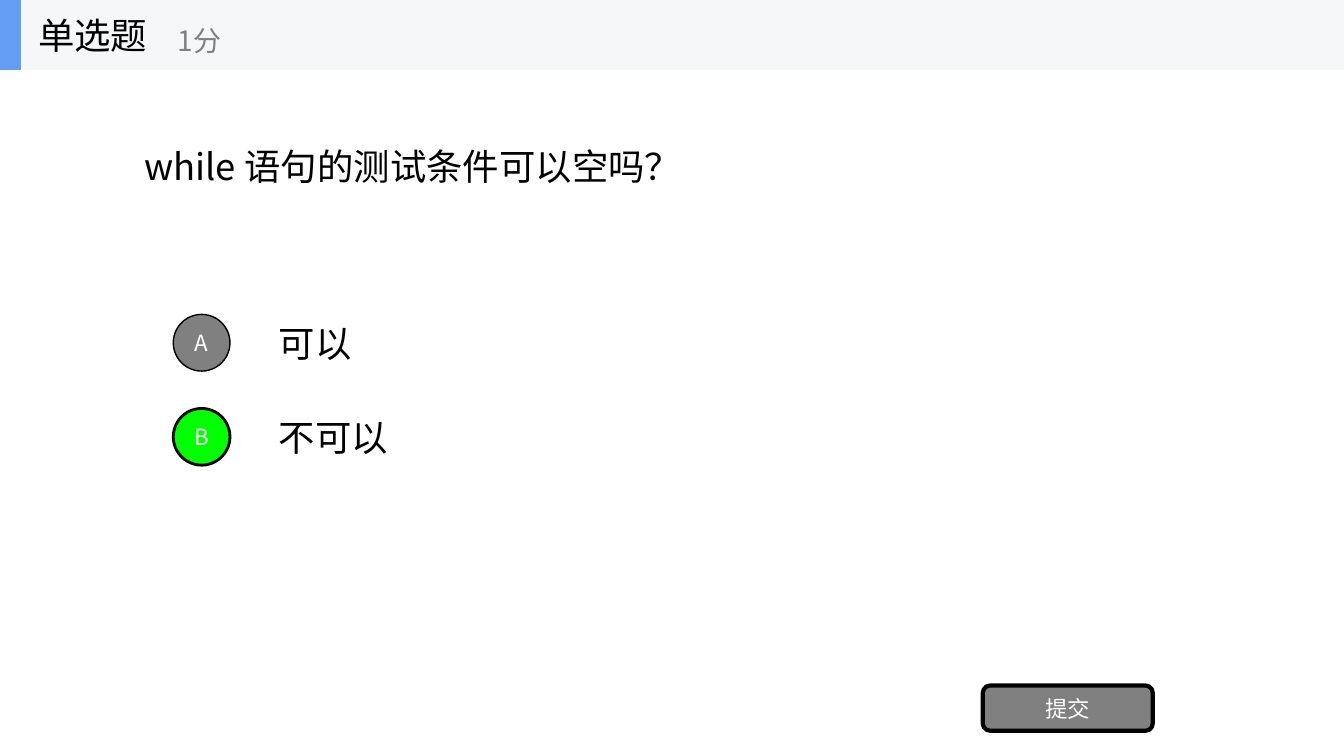
from dataclasses import dataclass

from lxml.etree import SubElement
from pptx import Presentation
from pptx.dml.color import RGBColor
from pptx.enum.shapes import MSO_SHAPE as Preset
from pptx.enum.text import MSO_ANCHOR as Anchor, MSO_AUTO_SIZE as AutoSize, PP_ALIGN as Align
from pptx.oxml.ns import qn
from pptx.shapes.autoshape import Shape
from pptx.slide import Slide
from pptx.util import Pt


@dataclass(frozen=True)
class Theme:
    font: str = "Noto Sans CJK SC"
    black: str = "000000"
    white: str = "FFFFFF"
    gray: str = "808080"
    green: str = "00FF00"
    band: str = "F6F7F8"
    accent: str = "639EF4"
    body_size: float = 26
    score_size: float = 20
    button_size: float = 16


@dataclass(frozen=True)
class Area:
    left: float
    top: float
    width: float
    height: float

    def lengths(self) -> tuple[Pt, Pt, Pt, Pt]:
        return Pt(self.left), Pt(self.top), Pt(self.width), Pt(self.height)


@dataclass(frozen=True)
class Option:
    letter: str
    answer: str
    fill: str
    line_width: float


THEME = Theme()
PAGE_WIDTH, PAGE_HEIGHT = 960, 540
HEADER_HEIGHT = 50
FIRST_OPTION_MIDDLE, OPTION_PITCH = 244.8, 67.2
ANSWER_HEIGHT, CIRCLE_SIZE = 50.4, 40.5

OPTIONS = [
    Option("A", "可以", THEME.gray, 1),
    Option("B", "不可以", THEME.green, 2),
]


def write(box: Shape, text: str, size: float, color: str, align: Align = Align.LEFT) -> None:
    frame = box.text_frame
    frame.text = text
    frame.word_wrap = True
    frame.auto_size = AutoSize.NONE
    frame.vertical_anchor = Anchor.MIDDLE
    para = frame.paragraphs[0]
    para.alignment = align
    for span in para.runs:
        span.font.size = Pt(size)
        span.font.color.rgb = RGBColor.from_string(color)
        span.font.name = THEME.font
        SubElement(span.font._element, qn("a:ea"), typeface=THEME.font)


def add_text(page: Slide, area: Area, text: str, size: float, color: str) -> None:
    write(page.shapes.add_textbox(*area.lengths()), text, size, color)


def add_block(page: Slide, preset: Preset, area: Area, fill: str, line_width: float = 0) -> Shape:
    block = page.shapes.add_shape(preset, *area.lengths())
    block.shadow.inherit = False
    block.fill.solid()
    block.fill.fore_color.rgb = RGBColor.from_string(fill)
    if line_width:
        block.line.color.rgb = RGBColor.from_string(THEME.black)
        block.line.width = Pt(line_width)
    else:
        block.line.fill.background()
    return block


def add_button(page: Slide, preset: Preset, area: Area, label: str, fill: str, line_width: float) -> None:
    button = add_block(page, preset, area, fill, line_width)
    write(button, label, THEME.button_size, THEME.white, Align.CENTER)
    frame = button.text_frame
    frame.margin_left = frame.margin_right = frame.margin_top = frame.margin_bottom = 0


def add_header(page: Slide) -> None:
    add_block(page, Preset.RECTANGLE, Area(0, 0, PAGE_WIDTH, HEADER_HEIGHT), THEME.band)
    add_block(page, Preset.RECTANGLE, Area(0, 0, 15, HEADER_HEIGHT), THEME.accent)
    title = page.shapes.title
    title.left, title.top, title.width, title.height = Area(20, 0, 150, HEADER_HEIGHT).lengths()
    write(title, "单选题", THEME.body_size, THEME.black)
    # Bring the title in front of the header band
    title.element.getparent().append(title.element)
    add_text(page, Area(120, 8.75, 180, 40.5), "1分", THEME.score_size, THEME.gray)


def add_option(page: Slide, option: Option, middle: float) -> None:
    answer_area = Area(192, middle - ANSWER_HEIGHT / 2, 672, ANSWER_HEIGHT)
    add_text(page, answer_area, option.answer, THEME.body_size, THEME.black)
    circle_area = Area(123.75, middle - CIRCLE_SIZE / 2, CIRCLE_SIZE, CIRCLE_SIZE)
    add_button(page, Preset.OVAL, circle_area, option.letter, option.fill, option.line_width)


def main() -> None:
    deck = Presentation()
    deck.slide_width, deck.slide_height = Pt(PAGE_WIDTH), Pt(PAGE_HEIGHT)
    page = deck.slides.add_slide(deck.slide_layouts.get_by_name("Title Only"))

    # Question
    add_text(page, Area(96, 34, 768, 168.5), "while 语句的测试条件可以空吗？", THEME.body_size, THEME.black)

    # Answer options
    for index, option in enumerate(OPTIONS):
        add_option(page, option, FIRST_OPTION_MIDDLE + index * OPTION_PITCH)

    # Submit button
    add_button(page, Preset.ROUNDED_RECTANGLE, Area(702, 489.6, 121.5, 32.4), "提交", THEME.gray, 3)

    # Header with title and score
    add_header(page)

    deck.save("out.pptx")


if __name__ == "__main__":
    main()
